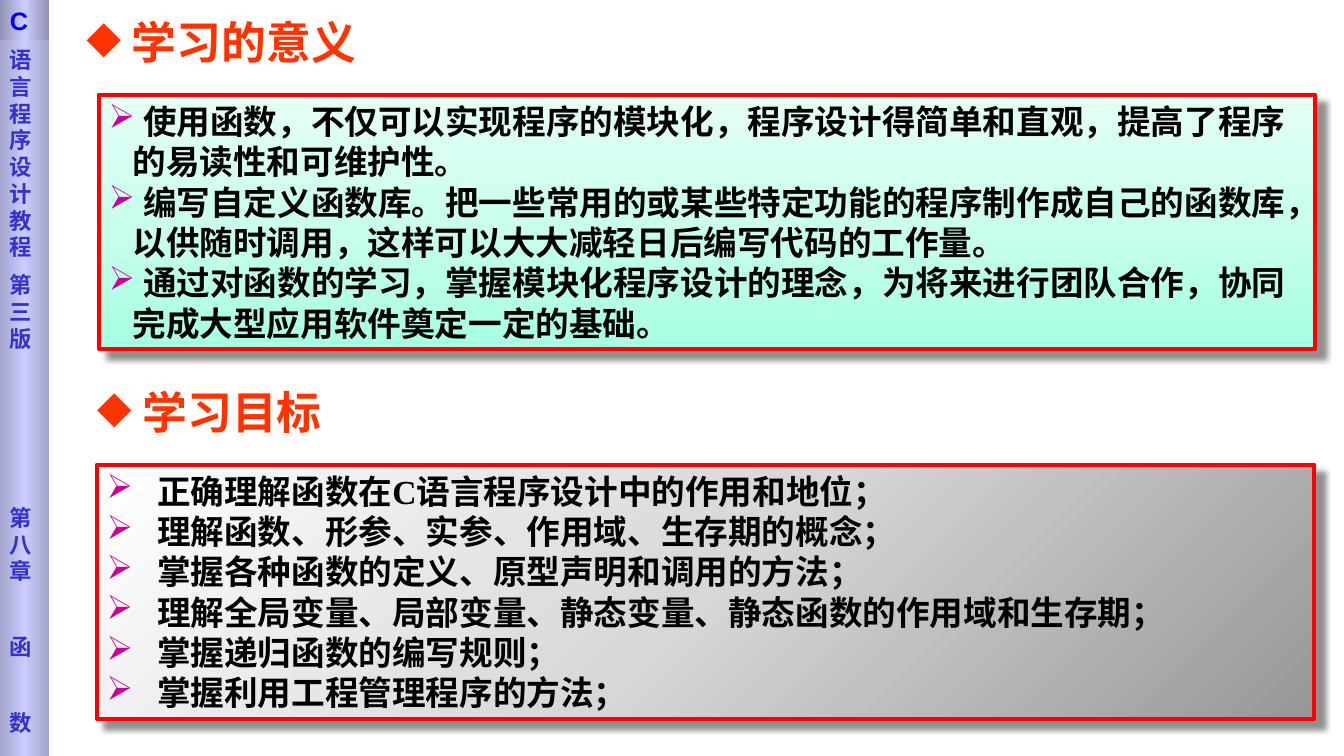
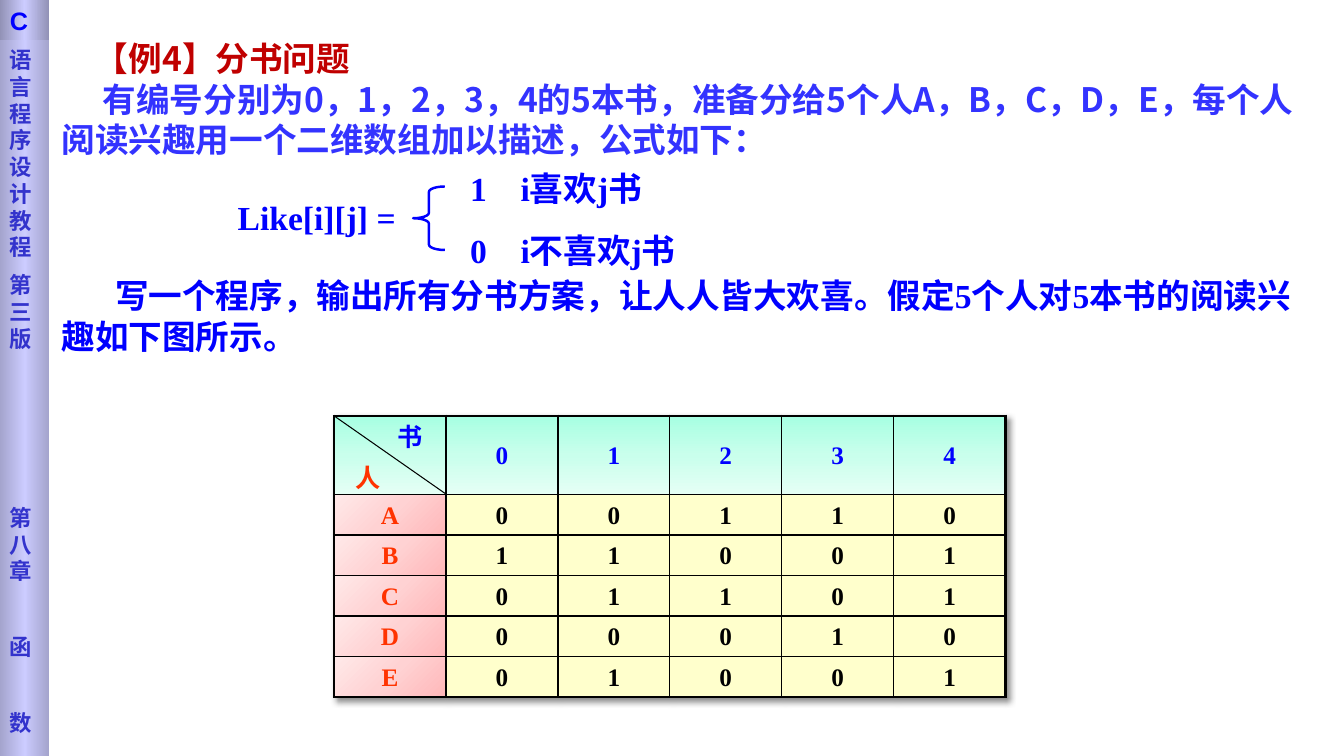
from lxml import etree
from pptx import Presentation
from pptx.dml.color import RGBColor
from pptx.enum import shapes, text
from pptx.oxml.ns import qn
from pptx.util import Cm, Pt

# Shared palette and fonts
RED, ORANGE, BLUE, BLACK = "FF0000", "FF3300", "0000FF", "000000"
DARK_RED, VIOLET, INDIGO, MAGENTA = "C00000", "3333FF", "3333CC", "CC0099"
CREAM = "FFFFCC"
MINT = ("A7FFE2", "C9FFEC", "E5FFF5")
GREY = ("979797", "D7D7D7", "FFFFFF")
PINK = ("FFB7B9", "FFD2D3", "FFE9E9")
BAND = ("A4A4CD", "CCCCFF", "A4A4CD")
BAND_TOP = ("9292B6", "CCCCFF", "9292B6")
SERIF, SANS, CJK = "Times New Roman", "Arial", "Noto Sans CJK SC"
LINE_RATIO = 1.2
SIDEBAR_WIDTH = 1.24


def rgb(hex_colour):
    return RGBColor.from_string(hex_colour)


def sub(parent, tag, **attributes):
    """Append a drawing element with the given attributes."""
    e = etree.SubElement(parent, qn("a:" + tag))
    for name, value in attributes.items():
        e.set(name, str(value))
    return e


def set_gradient(fill, properties, colours, angle):
    """Three even stops; the angle runs clockwise from left to right."""
    fill.gradient()
    fill.gradient_angle = (360 - angle) % 360
    stops = properties.find(qn("a:gradFill")).find(qn("a:gsLst"))
    for stop in list(stops):
        stops.remove(stop)
    for i, colour in enumerate(colours):
        sub(sub(stops, "gs", pos=i * 50000), "srgbClr", val=colour)


def add_shadow(effects, blur, distance):
    shadow = sub(effects, "outerShdw", blurRad=Pt(blur), dist=Pt(distance),
                 dir=45 * 60000, algn="tl", rotWithShape=0)
    sub(sub(shadow, "srgbClr", val=BLACK), "alpha", val=43000)


# Text
def format_paragraph(p, size, colour, font=SERIF, before=0, margin=0, indent=0,
                     bullet=None, bullet_colour=None, tab=None,
                     align=text.PP_ALIGN.LEFT, line=None):
    pPr = p._p.get_or_add_pPr()
    pPr.set("marL", str(Cm(margin)))
    pPr.set("indent", str(Cm(indent)))
    if bullet_colour:
        sub(sub(pPr, "buClr"), "srgbClr", val=bullet_colour)
    if bullet:
        sub(pPr, "buChar", char=bullet)
    else:
        sub(pPr, "buNone")
    if tab:
        sub(sub(pPr, "tabLst"), "tab", pos=Cm(tab), algn="l")
    p.alignment = align
    p.line_spacing = Pt(line or round(size * LINE_RATIO, 1))
    p.space_before = Pt(before)
    p.font.size, p.font.bold, p.font.name = Pt(size), True, font
    p.font.color.rgb = rgb(colour)
    sub(pPr.find(qn("a:defRPr")), "ea", typeface=CJK)


def write(tf, lines, size, colour, **style):
    tf.word_wrap = True
    tf.auto_size = text.MSO_AUTO_SIZE.NONE
    for i, line in enumerate(lines):
        p = tf.paragraphs[0] if i == 0 else tf.add_paragraph()
        p.text = line
        format_paragraph(p, size, colour, **style)


def add_text(s, box, lines, size, colour, **style):
    tb = s.shapes.add_textbox(*map(Cm, box))
    write(tb.text_frame, lines, size, colour, **style)


def set_title(s, box, line, size, colour, **style):
    title = s.shapes.title
    title.left, title.top, title.width, title.height = map(Cm, box)
    title.text_frame.vertical_anchor = text.MSO_ANCHOR.TOP
    write(title.text_frame, [line], size, colour, **style)


# Shapes
def add_box(s, box, colours, angle):
    sp = s.shapes.add_shape(shapes.MSO_SHAPE.RECTANGLE, *map(Cm, box))
    sp.shadow.inherit = False
    set_gradient(sp.fill, sp._element.spPr, colours, angle)
    sp.line.fill.background()
    return sp


def add_panel(s, box, colours, angle, lines, **style):
    sp = add_box(s, box, colours, angle)
    sp.line.color.rgb = rgb(RED)
    sp.line.width = Pt(3)
    add_shadow(sp._element.spPr.find(qn("a:effectLst")), 4, 8.4)
    sp.text_frame.vertical_anchor = text.MSO_ANCHOR.MIDDLE
    write(sp.text_frame, lines, 24, BLACK, bullet="➢",
          bullet_colour=MAGENTA, **style)


def add_sidebar(s):
    band = add_box(s, (0, 0, SIDEBAR_WIDTH, 19.05), BAND, 0)
    tf = band.text_frame
    tf.vertical_anchor = text.MSO_ANCHOR.TOP
    tf.margin_top = Cm(1.17)
    gaps = {"语言程序设计教程": 0, "第三版": 8, "第八章": 108.7, "函": 35, "数": 35}
    write(tf, gaps, 16, INDIGO, font="DejaVu Sans", line=19.1)
    for p, gap in zip(tf.paragraphs, gaps.values()):
        p.space_before = Pt(gap)
    top = add_box(s, (0, 0, SIDEBAR_WIDTH, 1.01), BAND_TOP, 0)
    write(top.text_frame, ["C"], 18, BLUE, font=SANS)


# Table
def set_borders(cell, row, column, last_row, last_column):
    tcPr = cell._tc.get_or_add_tcPr()
    outer = {"lnL": column == 0, "lnR": column == last_column,
             "lnT": row == 0, "lnB": row == last_row}
    for tag, thick in outer.items():
        ln = sub(tcPr, tag, w=Pt(2.25 if thick else 1))
        sub(sub(ln, "solidFill"), "srgbClr", val=BLACK)


def fill_cell(cell, row, column):
    if row == 0:
        set_gradient(cell.fill, cell._tc.tcPr, MINT, 90)
    elif column == 0:
        set_gradient(cell.fill, cell._tc.tcPr, PINK, 225)
    else:
        cell.fill.solid()
        cell.fill.fore_color.rgb = rgb(CREAM)


def write_corner(cell):
    cell.vertical_anchor = text.MSO_ANCHOR.TOP
    cell.margin_top, cell.margin_bottom = Cm(0.25), 0
    cell.margin_left, cell.margin_right = Cm(0.53), Cm(0.6)
    cell.text = "书\n人"
    book, person = cell.text_frame.paragraphs
    format_paragraph(book, 18, BLUE, align=text.PP_ALIGN.RIGHT, line=20)
    format_paragraph(person, 18, ORANGE, before=9, line=20)


def add_interest_table(s, left, top, rows):
    column_width, head_height, row_height = 2.82, 1.97, 1.02
    last_row, last_column = len(rows) - 1, len(rows[0]) - 1
    frame = s.shapes.add_table(
        len(rows), len(rows[0]), Cm(left), Cm(top),
        Cm(column_width * len(rows[0])), Cm(head_height + row_height * last_row))
    table = frame.table
    table.first_row = table.horz_banding = False
    effects = etree.Element(qn("a:effectLst"))
    add_shadow(effects, 4, 3)
    table._tbl.tblPr.insert(0, effects)
    for column in table.columns:
        column.width = Cm(column_width)
    for i, values in enumerate(rows):
        table.rows[i].height = Cm(row_height if i else head_height)
        for j, value in enumerate(values):
            cell = table.cell(i, j)
            set_borders(cell, i, j, last_row, last_column)
            fill_cell(cell, i, j)
            if i == j == 0:
                write_corner(cell)
                continue
            cell.vertical_anchor = text.MSO_ANCHOR.MIDDLE
            cell.text = value
            colour = BLUE if i == 0 else ORANGE if j == 0 else BLACK
            format_paragraph(cell.text_frame.paragraphs[0], 18, colour,
                             align=text.PP_ALIGN.CENTER)
    # Diagonal of the corner cell
    diagonal = s.shapes.add_connector(
        shapes.MSO_CONNECTOR.STRAIGHT, Cm(left), Cm(top),
        Cm(left + column_width), Cm(top + head_height))
    diagonal.line.color.rgb = rgb(BLACK)
    diagonal.line.width = Pt(0.75)
    sub(diagonal._element.spPr, "effectLst")


# Slides
def build_goals(s):
    heading = dict(size=32, colour=ORANGE, font=SANS, bullet="◆",
                   margin=1.14, indent=-1.14)
    set_title(s, (1.93, 0.25, 19.8, 1.6), "学习的意义", **heading)
    add_panel(s, (2.49, 2.39, 30.66, 6.4), MINT, 270, [
        " 使用函数，不仅可以实现程序的模块化，程序设计得简单和直观，提高了程序的易读性和可维护性。",
        " 编写自定义函数库。把一些常用的或某些特定功能的程序制作成自己的函数库，以供随时调用，这样可以大大减轻日后编写代码的工作量。",
        " 通过对函数的学习，掌握模块化程序设计的理念，为将来进行团队合作，协同完成大型应用软件奠定一定的基础。",
    ], margin=0.6, indent=-0.6)
    add_text(s, (2.2, 9.58, 10.8, 1.6), ["学习目标"], **heading)
    add_panel(s, (2.44, 11.71, 30.68, 6.4), GREY, 225, [
        "正确理解函数在C语言程序设计中的作用和地位；",
        "理解函数、形参、实参、作用域、生存期的概念；",
        "掌握各种函数的定义、原型声明和调用的方法；",
        "理解全局变量、局部变量、静态变量、静态函数的作用域和生存期；",
        "掌握递归函数的编写规则；",
        "掌握利用工程管理程序的方法；",
    ], margin=1.27, indent=-1.27)


def build_example(s):
    set_title(s, (1.3, 0.84, 31.65, 1.2), "【例4】分书问题", 24, DARK_RED,
              font=CJK, indent=0.84)
    add_text(s, (1.3, 1.86, 31.65, 2.3), [
        "有编号分别为0，1，2，3，4的5本书，准备分给5个人A，B，C，D，E，每个人阅读兴趣用一个二维数组加以描述，公式如下：",
    ], 24, VIOLET, font=CJK, indent=1.04)

    # Formula with two cases
    add_text(s, (5.74, 4.83, 4.9, 1.3), ["Like[i][j] ="], 24, BLUE)
    brace = s.shapes.add_shape(shapes.MSO_SHAPE.LEFT_BRACE,
                               Cm(10.41), Cm(4.7), Cm(0.8), Cm(1.6))
    brace.shadow.inherit = False
    brace.adjustments[0] = 0.17
    brace.fill.background()
    brace.line.color.rgb = rgb(BLUE)
    brace.line.width = Pt(1.75)
    for i, case in enumerate(("1\ti喜欢j书", "0\ti不喜欢j书")):
        add_text(s, (11.6, 4.11 + i * 1.55, 7.4, 1.3), [case], 24, BLUE, tab=1.06)

    add_text(s, (1.3, 6.81, 31.83, 2.31), [
        "写一个程序，输出所有分书方案，让人人皆大欢喜。假定5个人对5本书的阅读兴趣如下图所示。",
    ], 24, BLUE, indent=1.35)
    add_interest_table(s, 8.42, 10.48, [
        " 01234", "A00110", "B11001", "C01101", "D00010", "E01001"])


def main():
    prs = Presentation()
    prs.slide_width, prs.slide_height = Cm(33.87), Cm(19.05)
    for build in (build_goals, build_example):
        s = prs.slides.add_slide(prs.slide_layouts[5])
        build(s)
        add_sidebar(s)
    prs.save("out.pptx")


if __name__ == "__main__":
    main()
